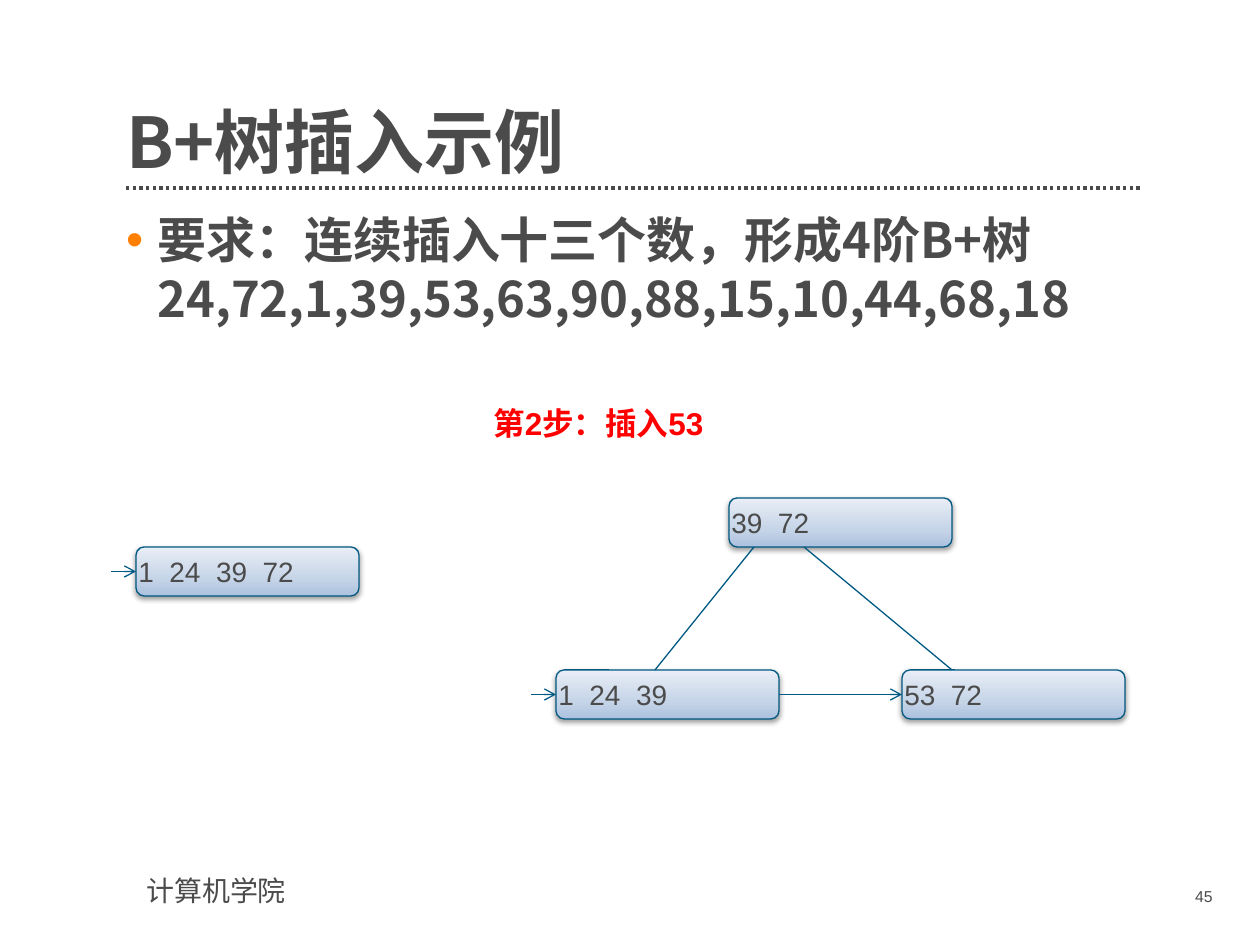
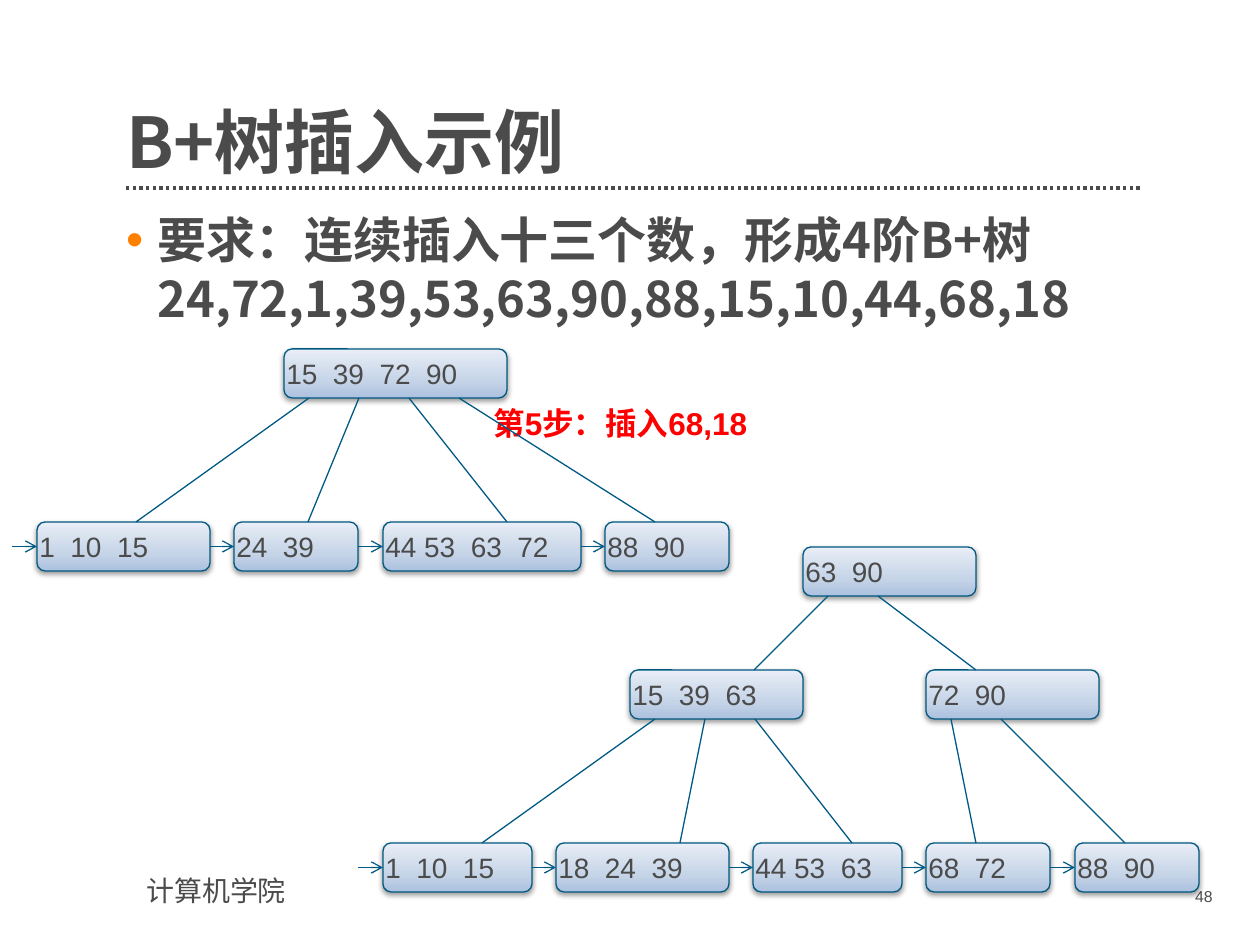
from copy import deepcopy
from dataclasses import dataclass

from lxml import etree
from pptx import Presentation
from pptx import util as u
from pptx.dml.color import RGBColor
from pptx.enum import dml, shapes, text
from pptx.oxml.ns import qn

PX = 914400 / 126
COLORS = {
    "ink": "4B4B4B",
    "bullet": "FF8000",
    "step": "FF0000",
    "node_line": "005881",
    "edge": "005A84",
    "shadow": "000000",
}
NODE_STOPS = [(0, "ACC1DF"), (0.35, "C5D4E7"), (1, "E9EEF7")]
CJK, LATIN = "Noto Sans CJK SC", "Arial"
NODE_HEIGHT = 49
ENTRY_LENGTH = 25
KEY_OFFSET, KEY_STEP = 25, 50
TITLE = "B+树插入示例"
TASK = "要求：连续插入十三个数，形成4阶B+树24,72,1,39,53,63,90,88,15,10,44,68,18"
SCHOOL = "计算机学院"


@dataclass
class Node:
    shape: object
    left: int
    top: int
    width: int


def px(value):
    return u.Emu(round(value * PX))


def rgb(name):
    return RGBColor.from_string(COLORS[name])


def add_xml(parent, tag, **attributes):
    return etree.SubElement(parent, qn(tag), attributes)


def set_insets(frame, left, top, right, bottom):
    frame.margin_left, frame.margin_top = px(left), px(top)
    frame.margin_right, frame.margin_bottom = px(right), px(bottom)


def add_run(paragraph, words, size, color="ink", latin=LATIN, bold=False):
    run = paragraph.add_run()
    run.text = words
    run.font.size = u.Pt(size)
    run.font.bold = bold
    run.font.name = latin
    run.font.color.rgb = rgb(color)
    add_xml(run.font._element, "a:ea", typeface=CJK)
    return run


def add_text(slide, box, words, size, **style):
    shape = slide.shapes.add_textbox(*map(px, box))
    shape.text_frame.word_wrap = True
    paragraph = shape.text_frame.paragraphs[0]
    add_run(paragraph, words, size, **style)
    return shape.text_frame, paragraph


def add_line(slide, start, end, color="edge", width=0.75, arrow=False):
    line = slide.shapes.add_connector(
        shapes.MSO_CONNECTOR.STRAIGHT, *map(px, (*start, *end)))
    line.line.color.rgb = rgb(color)
    line.line.width = u.Pt(width)
    properties = line._element.spPr
    if arrow:
        add_xml(properties.find(qn("a:ln")), "a:tailEnd", type="arrow")
    add_xml(properties, "a:effectLst")
    return line


def set_title(slide):
    title = slide.shapes.title
    title.left, title.top, title.width, title.height = map(px, (126, 69, 1016, 115))
    frame = title.text_frame
    frame.word_wrap = True
    frame.vertical_anchor = text.MSO_ANCHOR.BOTTOM
    set_insets(frame, 0, 0, 0, 0)
    paragraph = frame.paragraphs[0]
    paragraph.alignment = text.PP_ALIGN.LEFT
    paragraph.line_spacing = 0.9
    add_run(paragraph, TITLE, 40, latin=CJK, bold=True)


def add_task(slide):
    frame, paragraph = add_text(slide, (126, 210, 1016, 630), TASK, 28,
                                latin=CJK, bold=True)
    set_insets(frame, 0, 0, 25, 0)
    paragraph.space_before = u.Pt(2)
    properties = paragraph._element.get_or_add_pPr()
    indent = u.Inches(0.25)
    properties.set("marL", str(indent))
    properties.set("indent", str(-indent))
    add_xml(add_xml(properties, "a:buClr"), "a:srgbClr", val=COLORS["bullet"])
    add_xml(properties, "a:buFont", typeface=LATIN)
    add_xml(properties, "a:buChar", char="•")


def start_slide(presentation, number, step):
    slide = presentation.slides.add_slide(presentation.slide_layouts[5])
    rule = add_line(slide, (126, 188), (1142, 188), "ink", 1.9)
    rule.line.dash_style = dml.MSO_LINE.ROUND_DOT
    add_text(slide, (134, 867, 348, 47), SCHOOL, 16)
    set_title(slide)
    add_task(slide)
    paragraph = add_text(slide, (1100, 881, 125, 37), str(number), 9)[1]
    paragraph.alignment = text.PP_ALIGN.RIGHT
    add_text(slide, (481, 398, 470, 50), step, 18, color="step", bold=True)
    return slide


def style_node(shape):
    shape.fill.gradient()
    shape.fill.gradient_angle = 90
    stops = shape._element.spPr.find(".//" + qn("a:gsLst"))
    stops.append(deepcopy(stops[0]))
    for stop, (position, color) in zip(shape.fill.gradient_stops, NODE_STOPS):
        stop.position = position
        stop.color.rgb = RGBColor.from_string(color)
    shape.line.color.rgb = rgb("node_line")
    shape.line.width = u.Pt(0.75)
    shape.shadow.inherit = False
    effects = shape._element.spPr.find(qn("a:effectLst"))
    shadow = add_xml(effects, "a:outerShdw", blurRad=str(u.Pt(3.1)),
                     dist=str(u.Pt(1.6)), dir="5400000", rotWithShape="0")
    color = add_xml(shadow, "a:srgbClr", val=COLORS["shadow"])
    add_xml(color, "a:alpha", val="38000")


def add_node(slide, left, top, width, *keys):
    shape = slide.shapes.add_shape(shapes.MSO_SHAPE.ROUNDED_RECTANGLE,
                                   *map(px, (left, top, width, NODE_HEIGHT)))
    style_node(shape)
    frame = shape.text_frame
    frame.word_wrap = True
    frame.vertical_anchor = text.MSO_ANCHOR.MIDDLE
    set_insets(frame, 0, 0, 20, 0)
    paragraph = frame.paragraphs[0]
    paragraph.alignment = text.PP_ALIGN.LEFT
    paragraph.space_before = u.Pt(2)
    for index, key in enumerate(keys):
        if index:
            gap = add_run(paragraph, " ", 16)
            gap.font._element.set("spc", "445")
        add_run(paragraph, key, 16)
    return Node(shape, left, top, width)


def add_leaves(slide, top, leaves):
    nodes = [add_node(slide, left, top, width, *keys)
             for left, width, *keys in leaves]
    middle = top + NODE_HEIGHT / 2
    for previous, node in zip([None] + nodes, nodes):
        arrow = add_line(slide, (node.left - ENTRY_LENGTH, middle),
                         (node.left, middle), arrow=True)
        if previous:
            arrow.begin_connect(previous.shape, 3)
        arrow.end_connect(node.shape, 1)
    return nodes


def link_children(slide, parent, children, landings):
    for index, (child, landing) in enumerate(zip(children, landings)):
        start = (parent.left + KEY_OFFSET + KEY_STEP * index,
                 parent.top + NODE_HEIGHT)
        add_line(slide, start, (child.left + landing, child.top))


def build_step_two(presentation):
    slide = start_slide(presentation, 45, "第2步：插入53")
    add_leaves(slide, 547, [(136, 223, "1", "24", "39", "72")])
    leaves = add_leaves(slide, 670, [
        (556, 223, "1", "24", "39"),
        (902, 223, "53", "72"),
    ])
    root = add_node(slide, 729, 498, 223, "39", "72")
    link_children(slide, root, leaves, [99, 50])


def build_step_five(presentation):
    slide = start_slide(presentation, 48, "第5步：插入68,18")
    leaves = add_leaves(slide, 522, [
        (37, 173, "1", "10", "15"),
        (234, 124, "24", "39"),
        (383, 198, "44 53", "63", "72"),
        (605, 124, "88", "90"),
    ])
    root = add_node(slide, 284, 349, 223, "15", "39", "72", "90")
    link_children(slide, root, leaves, [99, 74, 124, 50])

    leaves = add_leaves(slide, 843, [
        (383, 149, "1", "10", "15"),
        (556, 173, "18", "24", "39"),
        (753, 149, "44 53", "63"),
        (926, 124, "68", "72"),
        (1075, 124, "88", "90"),
    ])
    left_branch = add_node(slide, 630, 670, 173, "15", "39", "63")
    right_branch = add_node(slide, 926, 670, 173, "72", "90")
    root = add_node(slide, 803, 547, 173, "63", "90")
    link_children(slide, left_branch, leaves[:3], [99, 124, 99])
    link_children(slide, right_branch, leaves[3:], [50, 50])
    link_children(slide, root, [left_branch, right_branch], [124, 50])


def main():
    presentation = Presentation()
    presentation.slide_width = px(1260)
    presentation.slide_height = px(945)
    build_step_two(presentation)
    build_step_five(presentation)
    presentation.save("out.pptx")


if __name__ == "__main__":
    main()
